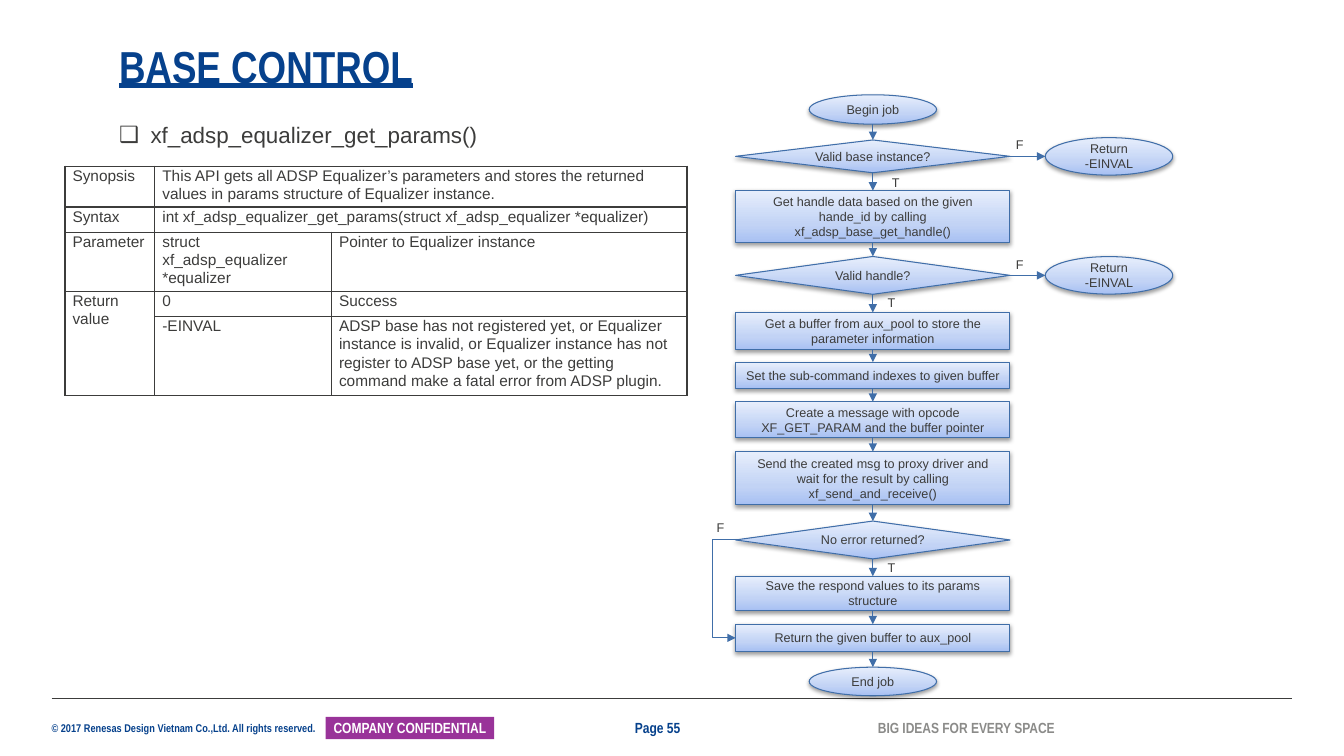
from dataclasses import dataclass

from lxml import etree
from pptx import Presentation
from pptx.dml.color import RGBColor
from pptx.enum import shapes, text
from pptx.oxml import ns, parse_xml
from pptx.util import Pt


@dataclass(frozen=True)
class Theme:
    navy: str = "06418C"
    ink: str = "3C3C3B"
    grey: str = "8B8B89"
    purple: str = "993399"
    white: str = "FFFFFF"
    flow: str = "406EA8"
    gradient: tuple = ((0, "A7C0F3"), (35, "C2D3F5"), (100, "E7EEFC"))
    body_font: str = "Arial"
    narrow_font: str = "Arial Narrow"
    title: float = 32
    bullet: float = 16
    table: float = 11
    tag: float = 10.5
    label: float = 9
    legal: float = 8


T = Theme()
A = ns.nsdecls("a")
OVAL = shapes.MSO_SHAPE.OVAL
RECT = shapes.MSO_SHAPE.RECTANGLE
DECISION = shapes.MSO_SHAPE.FLOWCHART_DECISION
LEFT, CENTER = text.PP_ALIGN.LEFT, text.PP_ALIGN.CENTER
TOP, MIDDLE, BOTTOM = (text.MSO_ANCHOR.TOP, text.MSO_ANCHOR.MIDDLE,
                       text.MSO_ANCHOR.BOTTOM)

FLOW_X, STEP_W, OVAL_W = 623.5, 196, 91
STEP_LEFT = FLOW_X - STEP_W / 2
RETURN_X = 746.7

# kind, top, height, text
STEPS = (
    (OVAL, 67.7, 21, "Begin job"),
    (DECISION, 100, 23.4, "Valid base instance?"),
    (RECT, 136.1, 37.4, "Get handle data based on the given hande_id by calling "
                        "xf_adsp_base_get_handle()"),
    (DECISION, 183.2, 27, "Valid handle?"),
    (RECT, 223.2, 26.6, "Get a buffer from aux_pool to store the parameter information"),
    (RECT, 258.7, 18.5, "Set the sub-command indexes to given buffer"),
    (RECT, 287, 25.7, "Create a message with opcode XF_GET_PARAM and the buffer pointer"),
    (RECT, 322.6, 38, "Send the created msg to proxy driver and wait for the result "
                      "by calling xf_send_and_receive()"),
    (DECISION, 372.2, 27, "No error returned?"),
    (RECT, 411.6, 24.4, "Save the respond values to its params structure"),
    (RECT, 445.9, 19.4, "Return the given buffer to aux_pool"),
    (OVAL, 476.6, 20.4, "End job"),
)
BRANCH_LABELS = (("F", 718.6, 94.3), ("T", 630, 121.7), ("F", 718.6, 180),
                 ("T", 627, 207.4), ("F", 504.7, 368), ("T", 627, 396.7))

COLUMNS = (64.2, 126.2, 254)
ROWS = (29, 18, 42.3, 18, 56.7)
CELLS = {
    (0, 0): "Synopsis",
    (0, 1): "This API gets all ADSP Equalizer’s parameters and stores the returned "
            "values in params structure of Equalizer instance.",
    (1, 0): "Syntax",
    (1, 1): "int xf_adsp_equalizer_get_params(struct xf_adsp_equalizer *equalizer)",
    (2, 0): "Parameter",
    (2, 1): "struct xf_adsp_equalizer *equalizer",
    (2, 2): "Pointer to Equalizer instance",
    (3, 0): "Return value",
    (3, 1): "0",
    (3, 2): "Success",
    (4, 1): "-EINVAL",
    (4, 2): "ADSP base has not registered yet, or Equalizer instance is invalid, or "
            "Equalizer instance has not register to ADSP base yet, or the getting "
            "command make a fatal error from ADSP plugin.",
}


def rgb(color):
    return RGBColor.from_string(color)


def box(x, y, w, h):
    return Pt(x), Pt(y), Pt(w), Pt(h)


def add_run(p, words, size, color=T.ink, font=T.body_font, bold=False):
    r = p.add_run()
    r.text = words
    r.font.size, r.font.name, r.font.bold = Pt(size), font, bold
    r.font.color.rgb = rgb(color)
    return r


def set_frame(tf, anchor, insets=(0, 0), wrap=True):
    """Set anchor, wrapping and the horizontal and vertical insets."""
    tf.auto_size = text.MSO_AUTO_SIZE.NONE
    tf.word_wrap, tf.vertical_anchor = wrap, anchor
    tf.margin_left = tf.margin_right = Pt(insets[0])
    tf.margin_top = tf.margin_bottom = Pt(insets[1])


def add_text(slide, place, words, size, color=T.ink, font=T.body_font, bold=False,
             anchor=MIDDLE, insets=(0, 0)):
    tf = slide.shapes.add_textbox(*box(*place)).text_frame
    set_frame(tf, anchor, insets, wrap=False)
    add_run(tf.paragraphs[0], words, size, color, font, bold)


def move(sp, place):
    sp.left, sp.top, sp.width, sp.height = box(*place)


def fill_title(sp, words):
    move(sp, (85, 31.7, 780.5, 34.6))
    set_frame(sp.text_frame, BOTTOM)
    p = sp.text_frame.paragraphs[0]
    p.alignment, p.line_spacing = LEFT, 0.9
    add_run(p, words, T.title, T.navy, T.narrow_font, True).font.underline = True


def fill_bullet(sp, words):
    move(sp, (85, 82.8, 468.7, 23))
    set_frame(sp.text_frame, TOP)
    p = sp.text_frame.paragraphs[0]
    pPr = p._p.get_or_add_pPr()
    pPr.set("marL", str(Pt(22.5)))
    pPr.set("indent", str(-Pt(22.5)))
    pPr.append(parse_xml(f'<a:buClr {A}><a:srgbClr val="{T.ink}"/></a:buClr>'))
    pPr.append(parse_xml(f'<a:buChar {A} char="❑"/>'))
    p.line_spacing, p.space_before, p.space_after = 1.2, Pt(0), Pt(8)
    add_run(p, words, T.bullet)


def add_node(slide, kind, place, words):
    """Add a flowchart shape; each line of words becomes a paragraph."""
    sp = slide.shapes.add_shape(kind, *box(*place))
    sp.line.color.rgb, sp.line.width = rgb(T.flow), Pt(0.75)
    stops = "".join(f'<a:gs pos="{pos * 1000}"><a:srgbClr val="{c}"/></a:gs>'
                    for pos, c in T.gradient)
    sp._element.spPr.find(ns.qn("a:prstGeom")).addnext(parse_xml(
        f'<a:gradFill {A} rotWithShape="1"><a:gsLst>{stops}</a:gsLst>'
        '<a:lin ang="16200000" scaled="0"/></a:gradFill>'))
    sp.shadow.inherit = False
    sp._element.spPr.find(ns.qn("a:effectLst")).append(parse_xml(
        f'<a:outerShdw {A} blurRad="{Pt(3.1)}" dist="{Pt(1.6)}" dir="5400000" '
        'rotWithShape="0"><a:srgbClr val="000000"><a:alpha val="38000"/>'
        '</a:srgbClr></a:outerShdw>'))
    tf = sp.text_frame
    set_frame(tf, MIDDLE, (7.2, 3.6))
    for i, line in enumerate(words.split("\n")):
        p = tf.add_paragraph() if i else tf.paragraphs[0]
        p.alignment = CENTER
        add_run(p, line, T.label)
    return sp


def add_line(slide, x1, y1, x2, y2, color=T.flow, width=0.75, arrow=True,
             kind=shapes.MSO_CONNECTOR.STRAIGHT):
    line = slide.shapes.add_connector(kind, *box(x1, y1, x2, y2))
    line.line.color.rgb, line.line.width = rgb(color), Pt(width)
    if arrow:
        etree.SubElement(line.line._get_or_add_ln(), ns.qn("a:tailEnd"), type="triangle")
    etree.SubElement(line._element.spPr, ns.qn("a:effectLst"))
    return line


def add_flowchart(slide):
    nodes = []
    for kind, top, height, words in STEPS:
        width = OVAL_W if kind == OVAL else STEP_W
        nodes.append(add_node(slide, kind, (FLOW_X - width / 2, top, width, height), words))
    for i, (upper, lower) in enumerate(zip(nodes, nodes[1:])):
        line = add_line(slide, FLOW_X, STEPS[i][1] + STEPS[i][2], FLOW_X, STEPS[i + 1][1])
        if STEPS[i][0] != OVAL:
            line.begin_connect(upper, 2)
        line.end_connect(lower, 0)

    middles = [top + height / 2 for _, top, height, _ in STEPS]
    for i in (1, 3):
        add_node(slide, OVAL, (RETURN_X, middles[i] - 13.4, OVAL_W, 26.8), "Return\n-EINVAL")
        line = add_line(slide, STEP_LEFT + STEP_W, middles[i], RETURN_X, middles[i])
        line.begin_connect(nodes[i], 3)

    bypass = add_line(slide, STEP_LEFT + 1, middles[8], STEP_LEFT, middles[10],
                      kind=shapes.MSO_CONNECTOR.ELBOW)
    guides = bypass._element.spPr.find(ns.qn("a:prstGeom")).get_or_add_avLst()
    etree.SubElement(guides, ns.qn("a:gd"), name="adj1", fmla="val 1800000")
    for words, x, y in BRANCH_LABELS:
        add_text(slide, (x, y, 23, 18), words, T.label, anchor=TOP, insets=(7.2, 3.6))


def add_api_table(slide):
    table = slide.shapes.add_table(
        len(ROWS), len(COLUMNS), *box(46.4, 118.8, sum(COLUMNS), sum(ROWS))).table
    table.first_row = table.horz_banding = False
    for column, width in zip(table.columns, COLUMNS):
        column.width = Pt(width)
    for row, height in zip(table.rows, ROWS):
        row.height = Pt(height)
    for cell in table.iter_cells():
        tcPr = cell._tc.get_or_add_tcPr()
        for side in "LRTB":
            tcPr.append(parse_xml(
                f'<a:ln{side} {A} w="{Pt(1)}"><a:solidFill><a:srgbClr val="{T.ink}"/>'
                f'</a:solidFill></a:ln{side}>'))
        cell.fill.background()
        cell.margin_left = cell.margin_right = Pt(5.4)
        cell.margin_top = cell.margin_bottom = 0
    for first, last in (((0, 1), (0, 2)), ((1, 1), (1, 2)), ((3, 0), (4, 0))):
        table.cell(*first).merge(table.cell(*last))
    for position, words in CELLS.items():
        p = table.cell(*position).text_frame.paragraphs[0]
        p.line_spacing = 1.07
        add_run(p, words, T.table)


def add_footer(slide):
    add_line(slide, 36.8, 499, 923, 499, T.ink, 0.5, arrow=False)
    add_text(slide, (36.8, 515.5, 192, 9.4),
             "© 2017 Renesas Design Vietnam Co.,Ltd. All rights reserved.",
             T.legal, T.navy, T.narrow_font, True, TOP)
    tag = slide.shapes.add_shape(RECT, *box(232.6, 512, 120.4, 16))
    tag.shadow.inherit = False
    tag.fill.solid()
    tag.fill.fore_color.rgb = rgb(T.purple)
    tag.line.fill.background()
    set_frame(tag.text_frame, MIDDLE, (2.9, 0))
    p = tag.text_frame.paragraphs[0]
    p.alignment = CENTER
    add_run(p, "COMPANY CONFIDENTIAL", T.tag, T.white, T.narrow_font, True)
    for x, width, words, color in ((453.6, 52.6, "Page 55", T.navy),
                                   (627.1, 129.6, "BIG IDEAS FOR EVERY SPACE", T.grey)):
        add_text(slide, (x, 513.2, width, 13), words, T.tag, color, T.narrow_font, True)


def main():
    prs = Presentation()
    prs.slide_width, prs.slide_height = Pt(960), Pt(540)
    slide = prs.slides.add_slide(prs.slide_layouts[1])
    fill_title(slide.shapes.title, "BASE CONTROL")
    fill_bullet(slide.placeholders[1], "xf_adsp_equalizer_get_params()")
    add_footer(slide)
    add_flowchart(slide)
    add_api_table(slide)
    prs.save("out.pptx")


if __name__ == "__main__":
    main()
